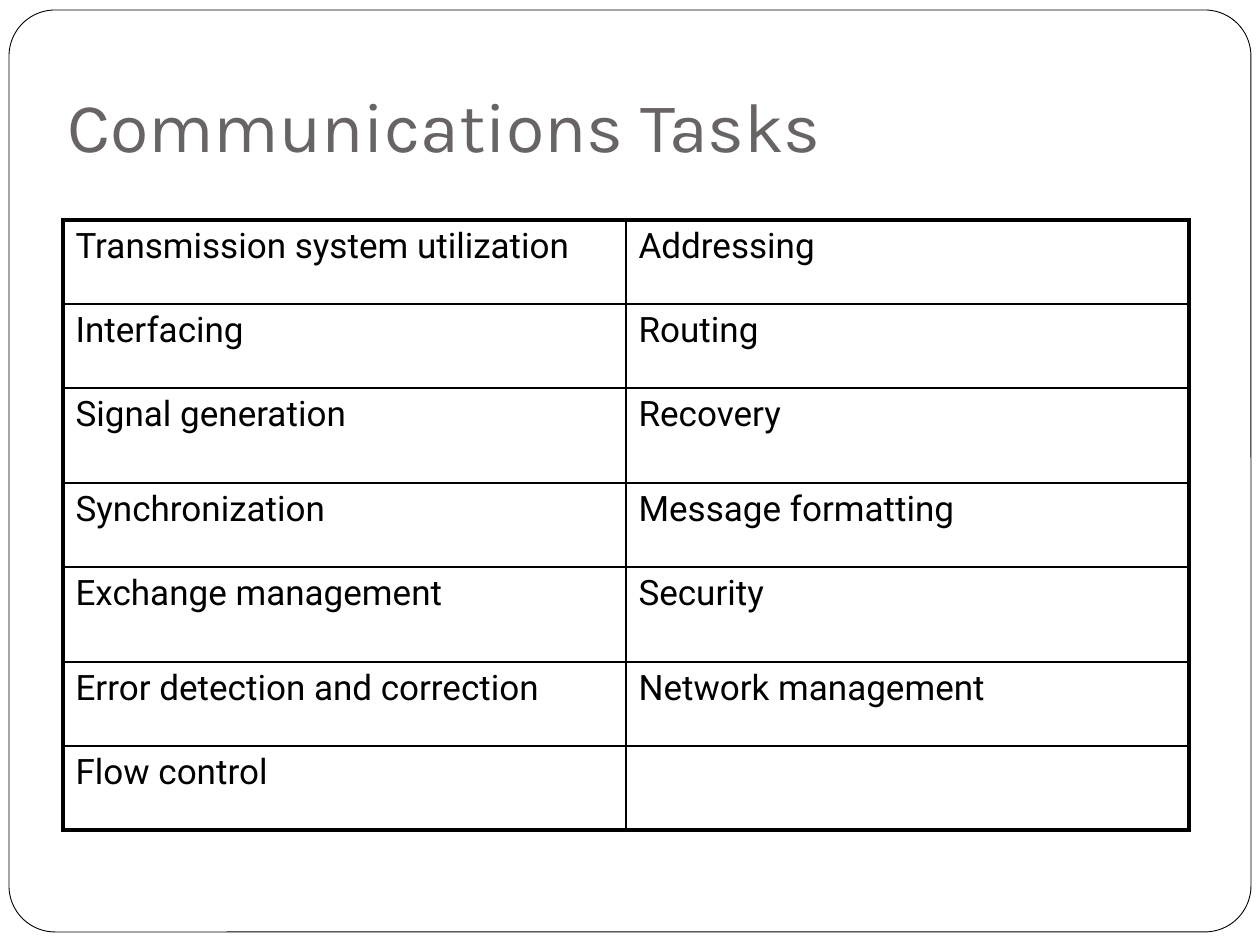
"""Build the Communications Tasks slide: a framed title above a two-column table."""
import pptx
import pptx.dml.color
import pptx.enum.shapes
import pptx.enum.text
import pptx.oxml
import pptx.oxml.ns
import pptx.util

PX = pptx.util.Inches(1) // 126
BLACK = "000000"
WHITE = "FFFFFF"
GREY = "696464"
TASKS = [
    ("Transmission system utilization", "Addressing"),
    ("Interfacing", "Routing"),
    ("Signal generation", "Recovery"),
    ("Synchronization", "Message formatting"),
    ("Exchange management", "Security"),
    ("Error detection and correction", "Network management"),
    ("Flow control", ""),
]
ROW_HEIGHTS = [84, 84, 95, 84, 95, 84, 84]
COLUMN_WIDTH = 563
INNER_BORDER = 1
OUTER_BORDER = 2.25


def px(*lengths):
    return [length * PX for length in lengths]


def color(value):
    return pptx.dml.color.RGBColor.from_string(value)


def add_run(paragraph, text, size, font, fill):
    run = paragraph.add_run()
    run.text = text
    run.font.size = pptx.util.Pt(size)
    run.font.name = font
    run.font.color.rgb = color(fill)


def add_frame(slide, left, top, width, height):
    kind = pptx.enum.shapes.MSO_SHAPE.ROUNDED_RECTANGLE
    shape = slide.shapes.add_shape(kind, *px(left, top, width, height))
    shape.adjustments[0] = 0.05
    shape.shadow.inherit = False
    shape.fill.solid()
    shape.fill.fore_color.rgb = color(WHITE)
    shape.line.color.rgb = color(BLACK)
    shape.line.width = pptx.util.Pt(0.5)


def add_title(slide, text, left, top, width, height):
    frame = slide.shapes.add_textbox(*px(left, top, width, height)).text_frame
    frame.word_wrap = True
    frame.vertical_anchor = pptx.enum.text.MSO_ANCHOR.BOTTOM
    frame.margin_bottom = pptx.util.Inches(0.1)
    add_run(frame.paragraphs[0], text, 40, "Karla", GREY)


def set_borders(cell, widths):
    properties = cell._tc.get_or_add_tcPr()
    for index, (side, width) in enumerate(widths.items()):
        border = pptx.oxml.parse_xml(
            f'<a:ln{side} {pptx.oxml.ns.nsdecls("a")} w="{pptx.util.Pt(width)}">'
            f'<a:solidFill><a:srgbClr val="{BLACK}"/></a:solidFill></a:ln{side}>'
        )
        properties.insert(index, border)


def add_task_table(slide, left, top):
    rows, columns = len(TASKS), len(TASKS[0])
    size = px(left, top, columns * COLUMN_WIDTH, sum(ROW_HEIGHTS))
    table = slide.shapes.add_table(rows, columns, *size).table
    table.first_row = False
    table.horz_banding = False
    for column in table.columns:
        column.width = COLUMN_WIDTH * PX
    for i, (texts, height) in enumerate(zip(TASKS, ROW_HEIGHTS)):
        table.rows[i].height = height * PX
        for j, text in enumerate(texts):
            cell = table.cell(i, j)
            cell.fill.background()
            on_edge = {"L": j == 0, "R": j == columns - 1,
                       "T": i == 0, "B": i == rows - 1}
            set_borders(cell, {side: OUTER_BORDER if outer else INNER_BORDER
                               for side, outer in on_edge.items()})
            if text:
                add_run(cell.text_frame.paragraphs[0], text, 20, "Roboto", BLACK)


def main():
    presentation = pptx.Presentation()
    presentation.slide_width, presentation.slide_height = px(1260, 945)
    slide = presentation.slides.add_slide(presentation.slide_layouts[6])
    add_frame(slide, 9, 10, 1242, 922)
    add_title(slide, "Communications Tasks", 55, 21, 1130, 158)
    add_task_table(slide, 63, 220)
    presentation.save("out.pptx")


if __name__ == "__main__":
    main()
